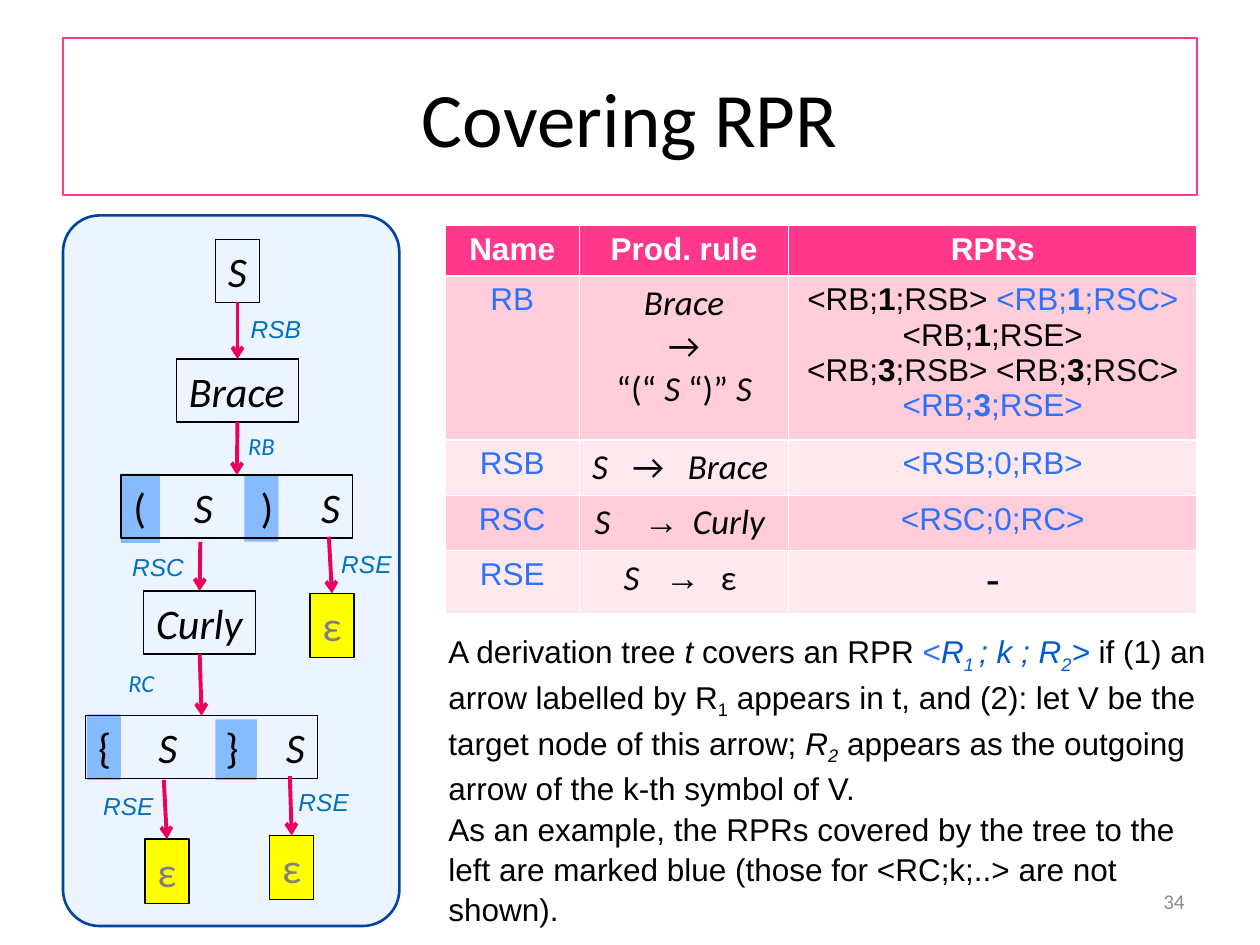
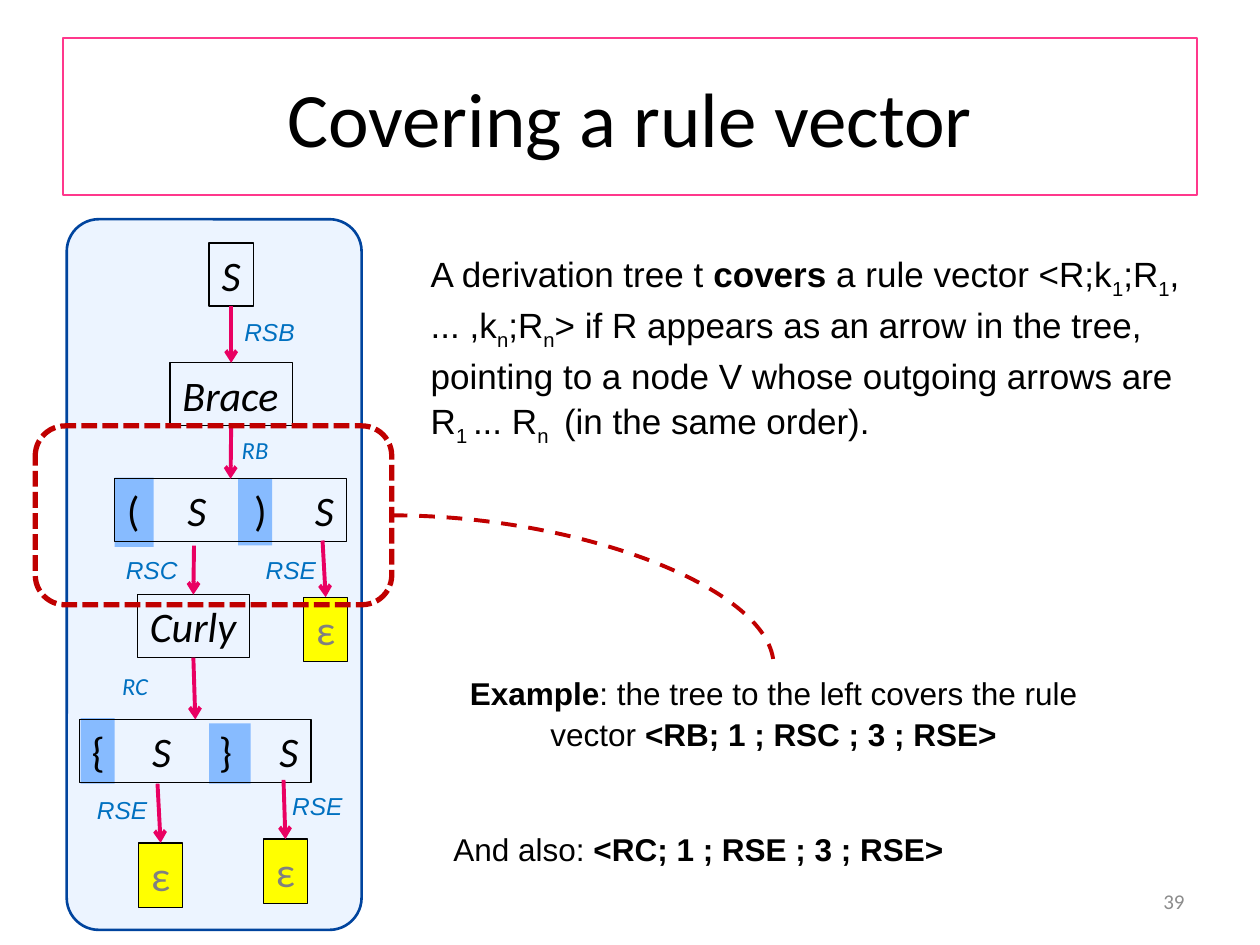
"""Builds two slides on covering RPRs and rule vectors with a derivation tree."""
from lxml import etree
from pptx import Presentation
from pptx.dml.color import RGBColor
from pptx.enum.dml import MSO_LINE
from pptx.enum.shapes import MSO_CONNECTOR, MSO_SHAPE
from pptx.enum.text import MSO_ANCHOR, PP_ALIGN
from pptx.oxml.ns import qn
from pptx.util import Pt

PX = 9144
BLACK = RGBColor(0x00, 0x00, 0x00)
WHITE = RGBColor(0xFF, 0xFF, 0xFF)
GREY = RGBColor(0x80, 0x80, 0x80)
NUMBER_GREY = RGBColor(0x8C, 0x8C, 0x8C)
PINK = RGBColor(0xFF, 0x38, 0x8C)
PINK_BANDS = (RGBColor(0xFF, 0xCE, 0xDA), RGBColor(0xFF, 0xE8, 0xEE))
ARROW_PINK = RGBColor(0xE9, 0x00, 0x62)
RED = RGBColor(0xC0, 0x00, 0x00)
YELLOW = RGBColor(0xFF, 0xFF, 0x00)
PANEL_BLUE = RGBColor(0xC3, 0xDD, 0xFF)
PANEL_EDGE = RGBColor(0x00, 0x44, 0x9E)
TERMINAL_BLUE = RGBColor(0x87, 0xBB, 0xFF)
LABEL_BLUE = RGBColor(0x00, 0x70, 0xC0)
COVERED_BLUE = RGBColor(0x2C, 0x71, 0xFF)
RPR_BLUE = RGBColor(0x00, 0x5B, 0xD3)
BODY_FONT, TREE_FONT = "Arial", "Calibri"
RECT, ROUND = MSO_SHAPE.RECTANGLE, MSO_SHAPE.ROUNDED_RECTANGLE
STRAIGHT, CURVE = MSO_CONNECTOR.STRAIGHT, MSO_CONNECTOR.CURVE
DASH, SHORT_DASH = MSO_LINE.DASH, MSO_LINE.SQUARE_DOT
LEFT, CENTER, RIGHT = PP_ALIGN.LEFT, PP_ALIGN.CENTER, PP_ALIGN.RIGHT
TOP, MIDDLE = MSO_ANCHOR.TOP, MSO_ANCHOR.MIDDLE
SIDE_TOP, SIDE_BOTTOM, SIDE_RIGHT = 0, 2, 3
PAIR_TABS = (48, 101, 149)


class Deck:
    """Holds the presentation, the current slide and the shared style."""

    def __init__(self):
        self.deck = Presentation()
        self.deck.slide_width, self.deck.slide_height = 1000 * PX, 750 * PX
        self.page = None
        self.shift = (0, 0)

    def start(self, title, number):
        self.page = self.deck.slides.add_slide(self.deck.slide_layouts[6])
        self.shift = (0, 0)
        band = self.shape((50, 30, 900, 125), edge=PINK, weight=1)
        self.fill_text(band.text_frame, [[title]], 44, TREE_FONT, align=CENTER,
                       anchor=MIDDLE)
        self.text((717, 695, 233, 40), [[number]], 12, TREE_FONT, NUMBER_GREY,
                  align=RIGHT, anchor=MIDDLE)

    def place(self, left, top, *size):
        return [n * PX for n in (left + self.shift[0], top + self.shift[1], *size)]

    def shape(self, area, kind=RECT, fill=None, edge=None, weight=0.75, dash=None,
              alpha=None, corner=None):
        shape = self.page.shapes.add_shape(kind, *self.place(*area))
        shape.shadow.inherit = False
        if corner:
            shape.adjustments[0] = corner
        if fill is None:
            shape.fill.background()
        else:
            shape.fill.solid()
            shape.fill.fore_color.rgb = fill
        if alpha:
            color = shape._element.spPr.find(qn("a:solidFill"))[0]
            etree.SubElement(color, qn("a:alpha")).set("val", str(alpha * 1000))
        if edge is None:
            shape.line.fill.background()
        else:
            shape.line.color.rgb = edge
            shape.line.width = Pt(weight)
            if dash:
                shape.line.dash_style = dash
        return shape

    def fill_text(self, frame, paragraphs, size, font, color=BLACK, align=LEFT,
                  anchor=TOP, italic=False, bold=False, tabs=(), gap=0, spacing=None,
                  wrap=True):
        frame.word_wrap = wrap
        frame.vertical_anchor = anchor
        for index, spans in enumerate(paragraphs):
            para = frame.add_paragraph() if index else frame.paragraphs[0]
            para.alignment = align
            if spacing:
                para.line_spacing = spacing
            if index and gap:
                para.space_before = Pt(gap)
            if tabs:
                stops = etree.SubElement(para._p.get_or_add_pPr(), qn("a:tabLst"))
                for stop in tabs:
                    etree.SubElement(stops, qn("a:tab"), pos=str(stop * PX), algn="l")
            para.font.size, para.font.name = Pt(size), font
            para.font.color.rgb = color
            para.font.italic, para.font.bold = italic, bold
            for span in spans:
                self.span(para, *((span,) if isinstance(span, str) else span))

    def span(self, para, text, marks="", color=None, font=None):
        """Adds a run; marks are b for bold, i for italic and _ for subscript."""
        if text == "\n":
            para.add_line_break()
            return
        run = para.add_run()
        run.text = text
        if "b" in marks:
            run.font.bold = True
        if "i" in marks:
            run.font.italic = True
        if "_" in marks:
            run._r.get_or_add_rPr().set("baseline", "-25000")
        if color is not None:
            run.font.color.rgb = color
        if font:
            run.font.name = font

    def text(self, area, paragraphs, size, font=BODY_FONT, color=BLACK, **style):
        box = self.page.shapes.add_textbox(*self.place(*area))
        self.fill_text(box.text_frame, paragraphs, size, font, color, **style)
        return box

    def node(self, area, spans, fill=None, color=BLACK, tabs=()):
        box = self.shape(area, fill=fill, edge=BLACK)
        box.text_frame.margin_right = 0
        self.fill_text(box.text_frame, [spans], 24, TREE_FONT, color, tabs=tabs)
        return box

    def label(self, left, top, text, font=BODY_FONT):
        self.text((left, top, 61 if font == BODY_FONT else 42, 34), [[text]], 14, font,
                  LABEL_BLUE, italic=True, wrap=False)

    def link(self, start, target, side=SIDE_TOP, start_side=SIDE_BOTTOM, kind=STRAIGHT,
             color=ARROW_PINK, dash=None):
        """Joins a point or a shape to a side of the target shape."""
        from_point = isinstance(start, tuple)
        begin = self.place(*start) if from_point else (start.left, start.top)
        line = self.page.shapes.add_connector(kind, *begin, target.left, target.top)
        if not from_point:
            line.begin_connect(start, start_side)
        line.end_connect(target, side)
        line.line.color.rgb = color
        line.line.width = Pt(2.25)
        properties = line._element.spPr
        if dash:
            line.line.dash_style = dash
        if kind == CURVE:
            properties.find(qn("a:prstGeom")).set("prst", "curvedConnector2")
        else:
            etree.SubElement(properties.find(qn("a:ln")), qn("a:tailEnd"), type="arrow")
        etree.SubElement(properties, qn("a:effectLst"))

    def tree(self, panel, shift, leaf_label):
        """Draws the derivation tree on its panel, moved by shift."""
        self.shape(panel, ROUND, PANEL_BLUE, PANEL_EDGE, 1.5, alpha=31, corner=0.109)
        self.shift = shift
        for area in ((96, 376, 31, 55), (194, 377, 27, 53),
                     (69, 567, 27, 52), (171, 571, 33, 48)):
            self.shape(area, fill=TERMINAL_BLUE)
        root = self.node((171, 190, 35, 50), [("S", "i")])
        brace = self.node((140, 285, 97, 50), [("Brace", "i")])
        rounds, curlies = (
            self.node((left, top, 184, 50),
                      [opening + "\t", ("S\t", "i"), closing + "\t", ("S", "i")],
                      tabs=PAIR_TABS)
            for left, top, opening, closing in ((96, 377, "(", ")"), (68, 568, "{", "}")))
        curly = self.node((114, 469, 89, 50), [("Curly", "i")])
        for start, target in ((root, brace), (brace, rounds), ((159, 430), curly),
                              (curly, curlies)):
            self.link(start, target)
        for start, left, top in (((130, 619), 115, 666), ((230, 616), 214, 663),
                                 ((261, 426), 246, 471)):
            leaf = self.node((left, top, 35, 51), ["ε"], YELLOW, GREY)
            self.link(start, leaf)
        for left, top, text in ((*leaf_label, "RSE"), (227, 620, "RSE"), (72, 623, "RSE"),
                                (189, 244, "RSB"), (95, 433, "RSC")):
            self.label(left, top, text)
        self.label(187, 337, "RB", TREE_FONT)
        self.label(92, 525, "RC", TREE_FONT)
        self.shift = (0, 0)

    def table(self, area, widths, heights):
        table = self.page.shapes.add_table(len(heights), len(widths), *self.place(*area)).table
        table.horz_banding = False
        for column, width in zip(table.columns, widths):
            column.width = width * PX
        for index, (row, height) in enumerate(zip(table.rows, heights)):
            row.height = height * PX
            for cell in row.cells:
                cell.fill.solid()
                cell.fill.fore_color.rgb = PINK_BANDS[(index + 1) % 2] if index else PINK
        return table


def brace_rprs():
    """Lists the RPRs of rule RB, the covered ones in blue."""
    spans = []
    for position in "13":
        for rule in ("RSB", "RSC", "RSE"):
            covered = (position, rule) in (("1", "RSC"), ("3", "RSE"))
            color = COVERED_BLUE if covered else BLACK
            gap = "" if rule == "RSE" else " "
            spans += [("<RB;", "", color), (position, "b", color),
                      (f";{rule}>{gap}", "", color)]
        if position == "1":
            spans.append("\n")
    return spans


def rpr_slide(deck):
    deck.start("Covering RPR", "34")
    deck.tree((50, 171, 267, 564), (0, 0), (261, 431))
    table = deck.table((353, 179, 597, 307), (107, 166, 324), (40, 130, 44, 44, 50))
    for column, heading in enumerate(("Name", "Prod. rule", "RPRs")):
        deck.fill_text(table.cell(0, column).text_frame, [[heading]], 18, BODY_FONT, WHITE,
                       align=CENTER, bold=True)
    for row, name in enumerate(("RB", "RSB", "RSC", "RSE"), 1):
        deck.fill_text(table.cell(row, 0).text_frame, [[name]], 18, BODY_FONT,
                       COVERED_BLUE, align=CENTER)
    deck.fill_text(table.cell(1, 1).text_frame,
                   [[("Brace", "i")], ["→"], ["“(“ ", ("S ", "i"), "“)” ", ("S", "i")]],
                   20, TREE_FONT, align=CENTER)
    rules = ((10, (32, 76), TREE_FONT, ("Brace", "i")),
             (12, (39, 78), BODY_FONT, ("Curly", "i")),
             (35, (33, 77), BODY_FONT, "ε"))
    for row, (inset, tabs, arrow_font, result) in enumerate(rules, 2):
        cell = table.cell(row, 1)
        cell.margin_left, cell.margin_right = inset * PX, 0
        deck.fill_text(cell.text_frame,
                       [[("S\t", "i"), ("→\t", "", None, arrow_font), result]],
                       20, TREE_FONT, tabs=tabs)
    deck.fill_text(table.cell(1, 2).text_frame, [brace_rprs()], 18, BODY_FONT, align=CENTER)
    for row, rpr in ((2, "<RSB;0;RB>"), (3, "<RSC;0;RC>")):
        deck.fill_text(table.cell(row, 2).text_frame, [[rpr]], 18, BODY_FONT, COVERED_BLUE,
                       align=CENTER)
    deck.fill_text(table.cell(4, 2).text_frame, [["-"]], 24, BODY_FONT, align=CENTER)
    definition = [
        "A derivation tree ", ("t", "i"), " covers an RPR ", ("<", "", COVERED_BLUE),
        ("R", "i", RPR_BLUE), ("1 ", "i_", RPR_BLUE), ("; k ; R", "i", RPR_BLUE),
        ("2", "i_", RPR_BLUE), ("> ", "i", RPR_BLUE),
        "if (1) an arrow labelled by R", ("1", "_"),
        " appears in t, and (2): let V be the target node of this arrow; ",
        ("R", "i"), ("2", "i_"),
        " appears as the outgoing arrow of the k-th symbol of V."]
    example = ["As an example, the RPRs covered by the tree to the left are marked blue "
               "(those for <RC;k;..> are not shown)."]
    deck.text((346, 494, 634, 222), [definition, example], 18, spacing=1.07)


def vector_slide(deck):
    deck.start("Covering a rule vector", "39")
    deck.tree((53, 174, 234, 564), (-5, 3), (206, 433))
    deck.text((332, 193, 618, 145), [[
        "A derivation tree t ", ("covers", "b"), " a rule vector <R;k", ("1", "_"), ";R",
        ("1", "_"), ", ... ,k", ("n", "_"), ";R", ("n", "_"),
        "> if R appears as an arrow in the tree, pointing to a node V whose outgoing "
        "arrows are R", ("1 ", "_"), "... R", ("n ", "_"), " (in the same order)."]],
        20, spacing=1.07)
    focus = deck.shape((28, 338, 283, 142), ROUND, edge=RED, weight=3, dash=SHORT_DASH)
    example = deck.text((350, 528, 528, 162), [
        [("Example", "b"), ": the tree to the left covers the rule vector ",
         ("<RB; 1 ; RSC ; 3 ; RSE>", "b")],
        ["And also: ", ("<RC; 1 ; RSE ; 3 ; RSE>", "b")]], 18, gap=43, spacing=1.07)
    example.text_frame.paragraphs[0].alignment = CENTER
    deck.link(focus, example, start_side=SIDE_RIGHT, kind=CURVE, color=RED, dash=DASH)


def main():
    deck = Deck()
    rpr_slide(deck)
    vector_slide(deck)
    deck.deck.save("out.pptx")


if __name__ == "__main__":
    main()
